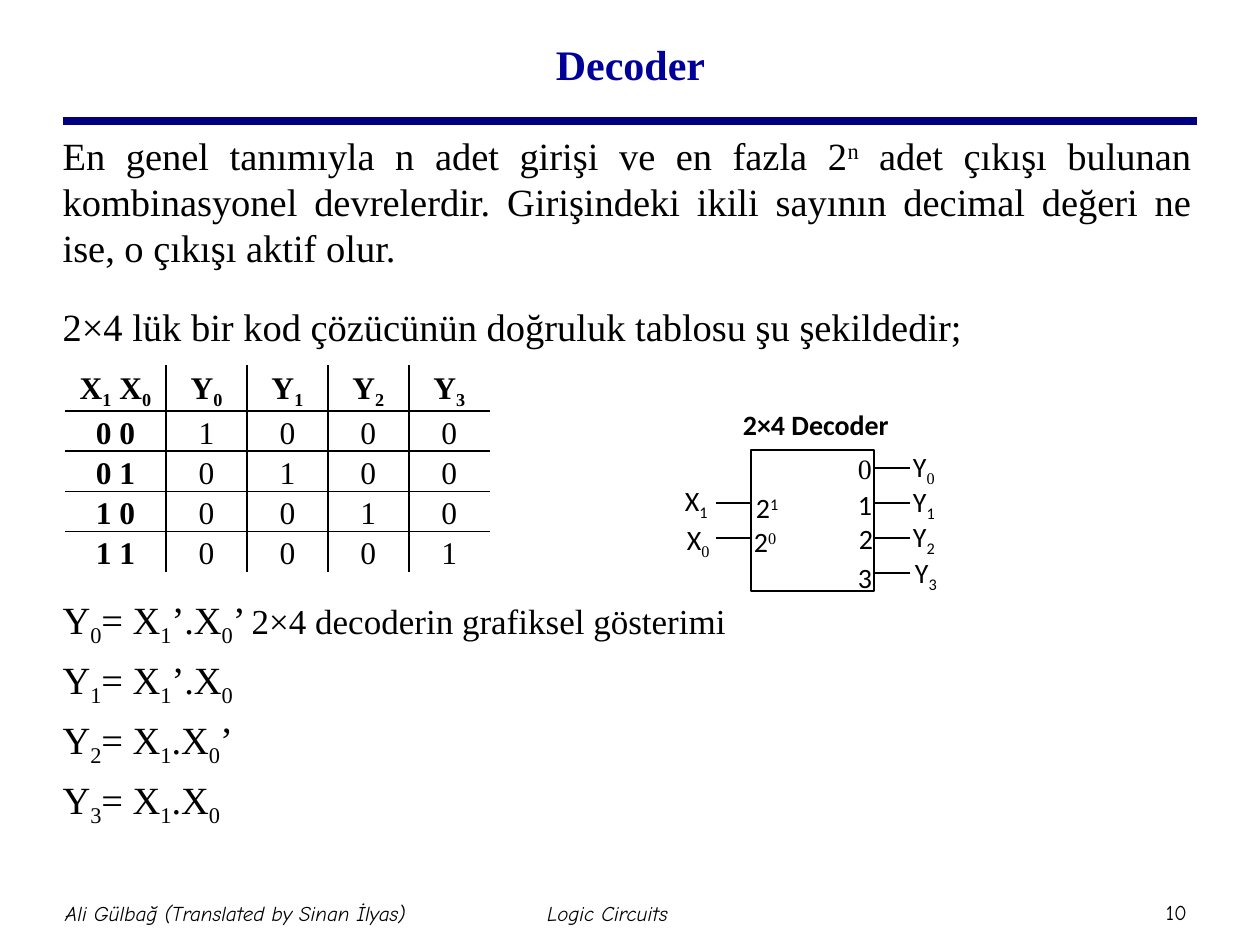
import pptx
import pptx.util
import pptx.dml.color
import pptx.enum.shapes
import pptx.enum.text
import pptx.oxml
import pptx.oxml.ns
from dataclasses import dataclass

EMU_PER_PX = 914400 / 126
ALIGN = pptx.enum.text.PP_ALIGN
ANCHOR = pptx.enum.text.MSO_ANCHOR
SCRIPTS = {"_": -25000, "^": 30000}


@dataclass(frozen=True)
class Theme:
    black: str = "000000"
    white: str = "FFFFFF"
    title: str = "000099"
    rule: str = "000080"
    serif: str = "Times New Roman"
    sans: str = "Calibri"
    footer: str = "Comic Neue"
    title_size: int = 24
    body_size: int = 22
    caption_size: int = 20
    table_size: int = 18
    label_size: int = 16
    footer_size: int = 12


T = Theme()


def px(n):
    return pptx.util.Emu(round(n * EMU_PER_PX))


def rgb(color):
    return pptx.dml.color.RGBColor.from_string(color)


def xml_child(parent, tag, **attrs):
    child = pptx.oxml.parse_xml(f"<a:{tag} {pptx.oxml.ns.nsdecls('a')}/>")
    for name, value in attrs.items():
        child.set(name, str(value))
    parent.append(child)
    return child


def place(sp, box):
    sp.left, sp.top, sp.width, sp.height = map(px, box)


def style(r, font, size, color=T.black, bold=False, italic=False):
    r.font.name, r.font.size = font, pptx.util.Pt(size)
    r.font.bold, r.font.italic = bold, italic
    r.font.color.rgb = rgb(color)


def write(p, text, font, size, script_font=None, **look):
    """Write text in which _ lowers and ^ raises the next character."""
    parts, mark = [], ""
    for ch in text:
        if ch in SCRIPTS:
            mark = ch
        elif mark:
            parts.append((ch, mark))
            mark = ""
        elif parts and not parts[-1][1]:
            parts[-1] = (parts[-1][0] + ch, "")
        else:
            parts.append((ch, ""))
    for part, mark in parts:
        r = p.add_run()
        r.text = part
        style(r, script_font if mark and script_font else font, size, **look)
        if mark:
            r._r.get_or_add_rPr().set("baseline", str(SCRIPTS[mark]))


def add_text(shapes, box, text, font, size, inset=0, align=ALIGN.LEFT,
             anchor=ANCHOR.TOP, **look):
    tf = shapes.add_textbox(*map(px, box)).text_frame
    tf.word_wrap = True
    tf.vertical_anchor = anchor
    tf.margin_left = tf.margin_right = tf.margin_top = tf.margin_bottom = px(inset)
    p = tf.paragraphs[0]
    p.alignment = align
    write(p, text, font, size, **look)


def add_line(shapes, x1, y1, x2, y2, color=T.black, width=0.75):
    line = shapes.add_connector(pptx.enum.shapes.MSO_CONNECTOR.STRAIGHT,
                                px(x1), px(y1), px(x2), px(y2))
    line.line.color.rgb = rgb(color)
    line.line.width = pptx.util.Pt(width)
    xml_child(line._element.spPr, "effectLst")


def add_title(s):
    sp = s.shapes.title
    place(sp, (95, 10, 1071, 108))
    tf = sp.text_frame
    tf.text = "Decoder"
    tf.vertical_anchor = ANCHOR.MIDDLE
    p = tf.paragraphs[0]
    p.alignment = ALIGN.CENTER
    style(p.runs[0], T.serif, T.title_size, T.title, bold=True)


def add_body(s):
    sp = s.placeholders[1]
    place(sp, (50, 126, 1154, 699))
    tf = sp.text_frame
    tf.auto_size = pptx.enum.text.MSO_AUTO_SIZE.NONE
    tf.vertical_anchor = ANCHOR.TOP
    # Each paragraph with the space before it
    paragraphs = [
        ("En genel tanımıyla n adet girişi ve en fazla 2^n adet çıkışı bulunan "
         "kombinasyonel devrelerdir. Girişindeki ikili sayının decimal değeri ne "
         "ise, o çıkışı aktif olur.", 0),
        ("2×4 lük bir kod çözücünün doğruluk tablosu şu şekildedir;", 33),
        ("Y_0= X_1’.X_0’\t", 253),
        ("Y_1= X_1’.X_0", 14),
        ("Y_2= X_1.X_0’", 14),
        ("Y_3= X_1.X_0", 14),
    ]
    for i, (text, before) in enumerate(paragraphs):
        p = tf.add_paragraph() if i else tf.paragraphs[0]
        p.alignment = ALIGN.JUSTIFY
        p.space_before = px(before)
        p.line_spacing = px(46)
        pPr = p._p.get_or_add_pPr()
        pPr.set("marL", "0")
        pPr.set("indent", "0")
        xml_child(pPr, "buNone")
        write(p, text, T.serif, T.body_size)
        if text.endswith("\t"):
            xml_child(xml_child(pPr, "tabLst"), "tab", pos=px(514), algn="l")
            write(p, "2×4 decoderin grafiksel gösterimi", T.serif, T.caption_size)


def set_borders(cell, sides):
    tcPr = cell._tc.get_or_add_tcPr()
    for i, side in enumerate("LRTB"):
        ln = xml_child(tcPr, "ln" + side, w=pptx.util.Pt(1))
        if side in sides:
            xml_child(xml_child(ln, "solidFill"), "srgbClr", val=T.black)
        else:
            xml_child(ln, "noFill")
        tcPr.insert(i, ln)


def add_truth_table(s):
    rows = [["X_1 X_0"] + [f"Y_{i}" for i in range(4)]]
    for n in range(4):
        rows.append([f"{n // 2} {n % 2}"] + [str(int(n == i)) for i in range(4)])
    widths, heights = [101] + [81] * 4, [46] + [40] * 4
    table = s.shapes.add_table(5, 5, px(65), px(365), px(sum(widths)),
                               px(sum(heights))).table
    table.first_row = table.horz_banding = False
    for i in range(5):
        table.columns[i].width = px(widths[i])
        table.rows[i].height = px(heights[i])
    for i, row in enumerate(rows):
        for j, text in enumerate(row):
            cell = table.cell(i, j)
            cell.fill.background()
            cell.margin_left = cell.margin_right = px(9)
            cell.margin_top = cell.margin_bottom = 0
            # Inner lines only
            inner = {"L": j > 0, "R": j < 4, "T": i > 0, "B": i < 4}
            set_borders(cell, [side for side in inner if inner[side]])
            p = cell.text_frame.paragraphs[0]
            p.alignment = ALIGN.CENTER
            p.line_spacing = 1.15
            write(p, text, T.serif, T.table_size, bold=i == 0 or j == 0)


def add_decoder(s):
    shapes = s.shapes.add_group_shape().shapes
    box = shapes.add_shape(pptx.enum.shapes.MSO_SHAPE.RECTANGLE,
                           px(751), px(450), px(123), px(141))
    box.shadow.inherit = False
    box.fill.solid()
    box.fill.fore_color.rgb = rgb(T.white)
    box.line.color.rgb = rgb(T.black)
    box.line.width = pptx.util.Pt(0.75)
    # Output and input pins
    pins = [468 + 35 * i for i in range(4)]
    for y in pins:
        add_line(shapes, 874, y, 910, y)
    for y in pins[1:3]:
        add_line(shapes, 716, y, 751, y)
    # Pin labels: text, left, top, font of the small digit
    labels = [
        ("X_1", 685, 484, T.sans), ("X_0", 687, 523, T.serif),
        ("Y_0", 913, 450, T.serif), ("Y_1", 913, 485, T.sans),
        ("Y_2", 913, 520, T.sans), ("Y_3", 915, 556, T.sans),
        ("2^1", 756, 491, T.sans), ("2^0", 754, 525, T.serif),
        ("1", 858, 488, T.sans), ("2", 859, 522, T.sans), ("3", 858, 561, T.sans),
    ]
    for text, x, y, script_font in labels:
        add_text(shapes, (x, y, 35, 35), text, T.sans, T.label_size,
                 script_font=script_font)
    add_text(shapes, (858, 452, 35, 35), "0", T.serif, T.label_size)
    add_text(shapes, (743, 408, 149, 33), "2×4 Decoder", T.sans, T.label_size, bold=True)


def add_footer(s):
    for text, box, italic in [
        ("Ali Gülbağ (Translated by Sinan İlyas)", (10, 882, 451, 63), True),
        ("Logic Circuits", (382, 882, 451, 63), True),
        ("10", (1147, 893, 59, 38), False),
    ]:
        add_text(s.shapes, box, text, T.footer, T.footer_size, inset=6,
                 align=ALIGN.CENTER, anchor=ANCHOR.MIDDLE, italic=italic)


def main():
    prs = pptx.Presentation()
    prs.slide_width, prs.slide_height = px(1260), px(945)
    s = prs.slides.add_slide(prs.slide_layouts[1])
    add_line(s.shapes, 63, 121, 1197, 121, T.rule, 4.5)
    add_title(s)
    add_body(s)
    add_truth_table(s)
    add_decoder(s)
    add_footer(s)
    prs.save("out.pptx")


if __name__ == "__main__":
    main()
